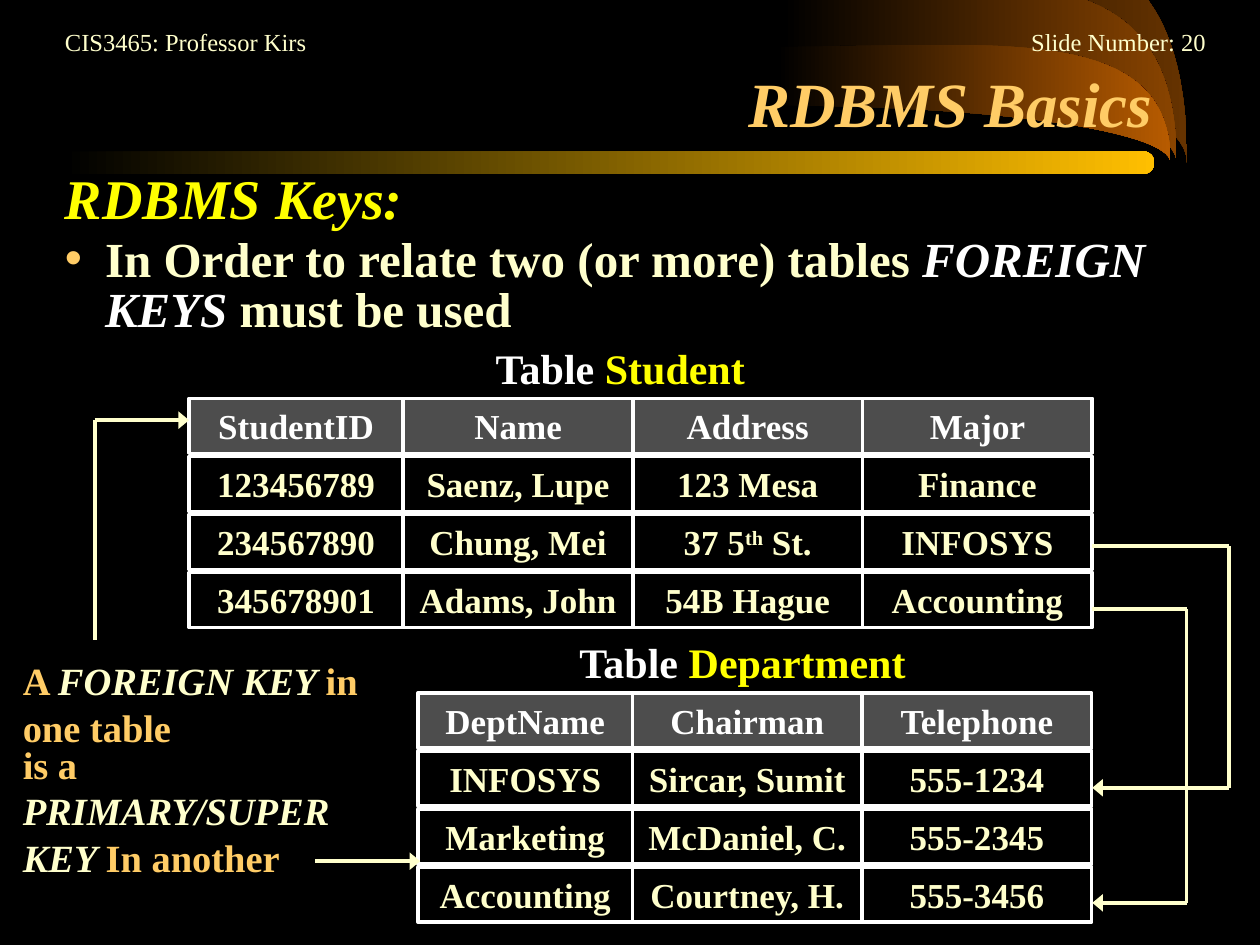
"""Build a slide on relational keys with two linked tables."""
import pptx
import pptx.util
import pptx.dml.color
import pptx.enum.shapes
import pptx.enum.text
import pptx.oxml.ns
import lxml.etree

Cm, Pt = pptx.util.Cm, pptx.util.Pt
ALIGN = pptx.enum.text.PP_ALIGN
ANCHOR = pptx.enum.text.MSO_ANCHOR
SHAPE = pptx.enum.shapes.MSO_SHAPE
qn = pptx.oxml.ns.qn

THEME = {
    "font": "Times New Roman", "bullet_font": "Arial",
    "black": "000000", "white": "FFFFFF", "cream": "FFFFCC", "yellow": "FFFF00",
    "orange": "FFCC66", "gold": "FFBF00", "header": "4D4D4D",
    "crescents": ["663300", "894400", "B75B00"],
    "small": 14, "title": 36, "heading": 32, "body": 28, "caption": 24, "note": 22, "cell": 20,
    "line": 2,
}

TITLE = [("RDBMS Basics", "orange", "bi")]
TITLE_BOX = (1.9, 1.05, 21.59, 1.9)
BULLET = [("In Order to relate two (or more) tables ", "cream", "b"),
          ("FOREIGN KEYS ", "white", "bi"), ("must be used", "cream", "b")]
BULLET_BOX = (1.06, 4.66, 24.33, 2.29)
HEADERS = [
    ((1.06, 0.43, 6.78, 0.86), "small", ALIGN.LEFT, [("CIS3465: Professor Kirs", "cream", "")]),
    ((17.78, 0.43, 6.78, 0.86), "small", ALIGN.RIGHT, [("Slide Number: 20", "cream", "")]),
]
HEADING = ((1.06, 3.18, 13.34, 1.63), "heading", ALIGN.LEFT, [("RDBMS Keys:", "yellow", "bi")])
CAPTIONS = [
    ((9.74, 6.78, 6.43, 1.27), "caption", ALIGN.LEFT,
     [("Table ", "white", "b"), ("Student", "yellow", "b")]),
    ((11.43, 12.7, 7.82, 1.27), "caption", ALIGN.LEFT,
     [("Table ", "white", "b"), ("Department", "yellow", "b")]),
]
NOTES = [
    ((0.21, 13.13, 7.42, 2.13), "note", ALIGN.LEFT,
     [("A ", "orange", "b"), ("FOREIGN KEY ", "cream", "bi"), ("in one table", "orange", "b")]),
    ((0.21, 14.82, 7.42, 3.05), "note", ALIGN.LEFT,
     [("is a ", "orange", "b"), ("PRIMARY/SUPER KEY ", "cream", "bi"), ("In another", "orange", "b")]),
]
TABLES = [
    ((3.81, 8.03), [
        ["StudentID", "Name", "Address", "Major"],
        ["123456789", "Saenz, Lupe", "123 Mesa", "Finance"],
        ["234567890", "Chung, Mei", ("37 5", "th", " St."), "INFOSYS"],
        ["345678901", "Adams, John", "54B Hague", "Accounting"]]),
    ((8.43, 13.97), [
        ["DeptName", "Chairman", "Telephone"],
        ["INFOSYS", "Sircar, Sumit", "555-1234"],
        ["Marketing", "McDaniel, C.", "555-2345"],
        ["Accounting", "Courtney, H.", "555-3456"]]),
]
KEY_WIDTH, COL_WIDTH, CELL_HEIGHT, ROW_PITCH = 4.32, 4.63, 1.11, 1.17
ROUTES = [
    [(22.02, 11.01), (24.77, 11.01), (24.77, 15.88), (22.02, 15.88)],
    [(22.02, 12.28), (23.92, 12.28), (23.92, 18.2), (22.02, 18.2)],
    [(1.91, 12.9), (1.91, 8.47), (3.81, 8.47)],
    [(6.35, 17.36), (8.47, 17.36)],
]
CRESCENTS = [(23.93, 1.07, -1.24), (23.72, 1.52, -0.3), (23.6, 2.13, 0.94)]
CRESCENT_BASE, CRESCENT_WIDTH, CRESCENT_BEND = 3.28, 7.95, 4.39
BAR_BOX = (1.27, 3.05, 22, 0.46)


def rgb(name):
    return pptx.dml.color.RGBColor.from_string(THEME.get(name, name))


def cm(values):
    return [Cm(v) for v in values]


def add_runs(p, runs, size):
    for text, color, style in runs:
        r = p.add_run()
        r.text = text
        r.font.name, r.font.size = THEME["font"], Pt(THEME[size])
        r.font.bold, r.font.italic = "b" in style, "i" in style
        r.font.color.rgb = rgb(color)
        if "^" in style:
            r._r.get_or_add_rPr().set("baseline", "30000")


def add_text(s, box, size, align, runs):
    tf = s.shapes.add_textbox(*cm(box)).text_frame
    tf.word_wrap = True
    p = tf.paragraphs[0]
    p.alignment = align
    add_runs(p, runs, size)
    return p


def add_bullet(s):
    p = add_text(s, BULLET_BOX, "body", ALIGN.LEFT, BULLET)
    p.line_spacing = 0.85
    pPr = p._p.get_or_add_pPr()
    pPr.set("marL", str(Cm(0.81)))
    pPr.set("indent", str(-Cm(0.81)))
    color = lxml.etree.SubElement(pPr, qn("a:buClr"))
    lxml.etree.SubElement(color, qn("a:srgbClr"), val=THEME["orange"])
    lxml.etree.SubElement(pPr, qn("a:buFont"), typeface=THEME["bullet_font"])
    lxml.etree.SubElement(pPr, qn("a:buChar"), char="•")


def fade(sp, color):
    sp.shadow.inherit = False
    sp.line.fill.background()
    sp.fill.gradient()
    sp.fill.gradient_angle = 0
    for stop, name in zip(sp.fill.gradient_stops, ("black", color)):
        stop.color.rgb = rgb(name)


def bend_lines(sp):
    lines = list(sp.element.iter(qn("a:lnTo")))
    for first, second, third in zip(lines[::3], lines[1::3], lines[2::3]):
        first.tag = qn("a:cubicBezTo")
        for line in (second, third):
            first.append(line[0])
            line.getparent().remove(line)


def add_crescent(s, right, inner, outer, color):
    left = right - CRESCENT_WIDTH
    bend, tip = left + CRESCENT_BEND, (right, CRESCENT_BASE)
    drop = 0.45 * (CRESCENT_BASE - inner)
    controls = [(bend, inner), (right, inner + drop), tip,
                (right, outer - drop), (bend, outer), (left, outer)]
    builder = s.shapes.build_freeform(Cm(left), Cm(inner))
    builder.add_line_segments([tuple(cm(point)) for point in controls])
    sp = builder.convert_to_shape()
    bend_lines(sp)
    fade(sp, color)


def add_cell(group, box, value, is_header):
    sp = group.shapes.add_shape(SHAPE.RECTANGLE, *cm(box))
    sp.shadow.inherit = False
    sp.line.color.rgb = rgb("white")
    sp.line.width = Pt(THEME["line"])
    if is_header:
        sp.fill.solid()
        sp.fill.fore_color.rgb = rgb("header")
    else:
        sp.fill.background()
    tf = sp.text_frame
    tf.word_wrap = True
    tf.vertical_anchor = ANCHOR.TOP
    p = tf.paragraphs[0]
    p.alignment = ALIGN.CENTER
    parts = (value,) if isinstance(value, str) else value
    color = "white" if is_header else "cream"
    add_runs(p, [(t, color, "b^" if k == 1 else "b") for k, t in enumerate(parts)], "cell")


def add_grid(s, corner, rows):
    left, top = corner
    group = s.shapes.add_group_shape()
    for i, row in enumerate(rows):
        for j, value in enumerate(row):
            x = left + (KEY_WIDTH + (j - 1) * COL_WIDTH if j else 0)
            width = COL_WIDTH if j else KEY_WIDTH
            add_cell(group, (x, top + i * ROW_PITCH, width, CELL_HEIGHT), value, i == 0)


def add_route(s, points):
    for start, end in zip(points, points[1:]):
        line = s.shapes.add_connector(pptx.enum.shapes.MSO_CONNECTOR.STRAIGHT, *cm(start + end))
        line.line.color.rgb = rgb("cream")
        line.line.width = Pt(THEME["line"])
        if end == points[-1]:
            ln = line.element.spPr.find(qn("a:ln"))
            lxml.etree.SubElement(ln, qn("a:tailEnd"), type="triangle", w="lg", len="med")
        lxml.etree.SubElement(line.element.spPr, qn("a:effectLst"))


def main():
    prs = pptx.Presentation()
    prs.slide_width, prs.slide_height = Cm(25.4), Cm(19.05)
    s = prs.slides.add_slide(prs.slide_layouts[5])
    s.background.fill.solid()
    s.background.fill.fore_color.rgb = rgb("black")
    for crescent, color in zip(CRESCENTS, THEME["crescents"]):
        add_crescent(s, *crescent, color)
    bar = s.shapes.add_shape(SHAPE.ROUNDED_RECTANGLE, *cm(BAR_BOX))
    bar.adjustments[0] = 0.5
    fade(bar, "gold")
    title = s.shapes.title
    title.left, title.top, title.width, title.height = cm(TITLE_BOX)
    tf = title.text_frame
    tf.auto_size = pptx.enum.text.MSO_AUTO_SIZE.NONE
    tf.vertical_anchor = ANCHOR.BOTTOM
    tf.paragraphs[0].alignment = ALIGN.RIGHT
    add_runs(tf.paragraphs[0], TITLE, "title")
    bar.element.addnext(title.element)
    for text in [*HEADERS, HEADING, *CAPTIONS, *NOTES]:
        add_text(s, *text)
    add_bullet(s)
    for table in TABLES:
        add_grid(s, *table)
    for route in ROUTES:
        add_route(s, route)
    prs.save("out.pptx")


if __name__ == "__main__":
    main()
